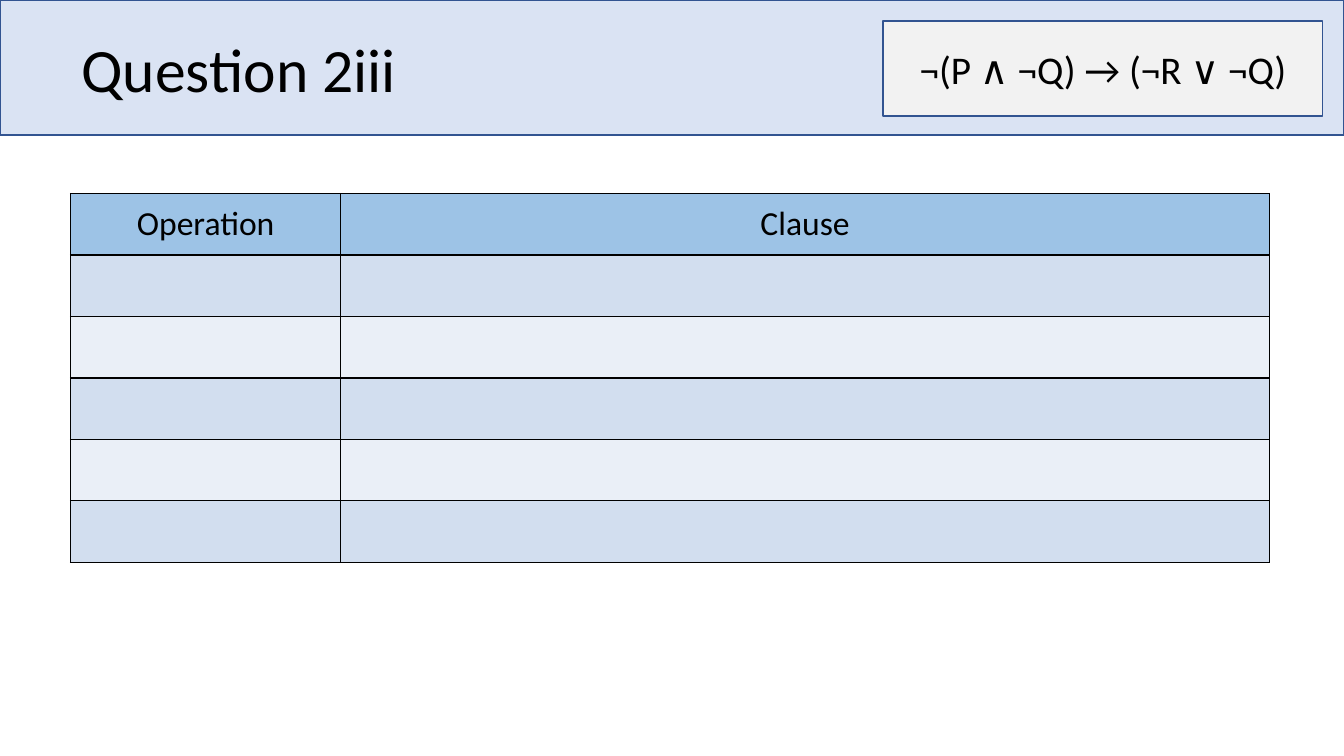
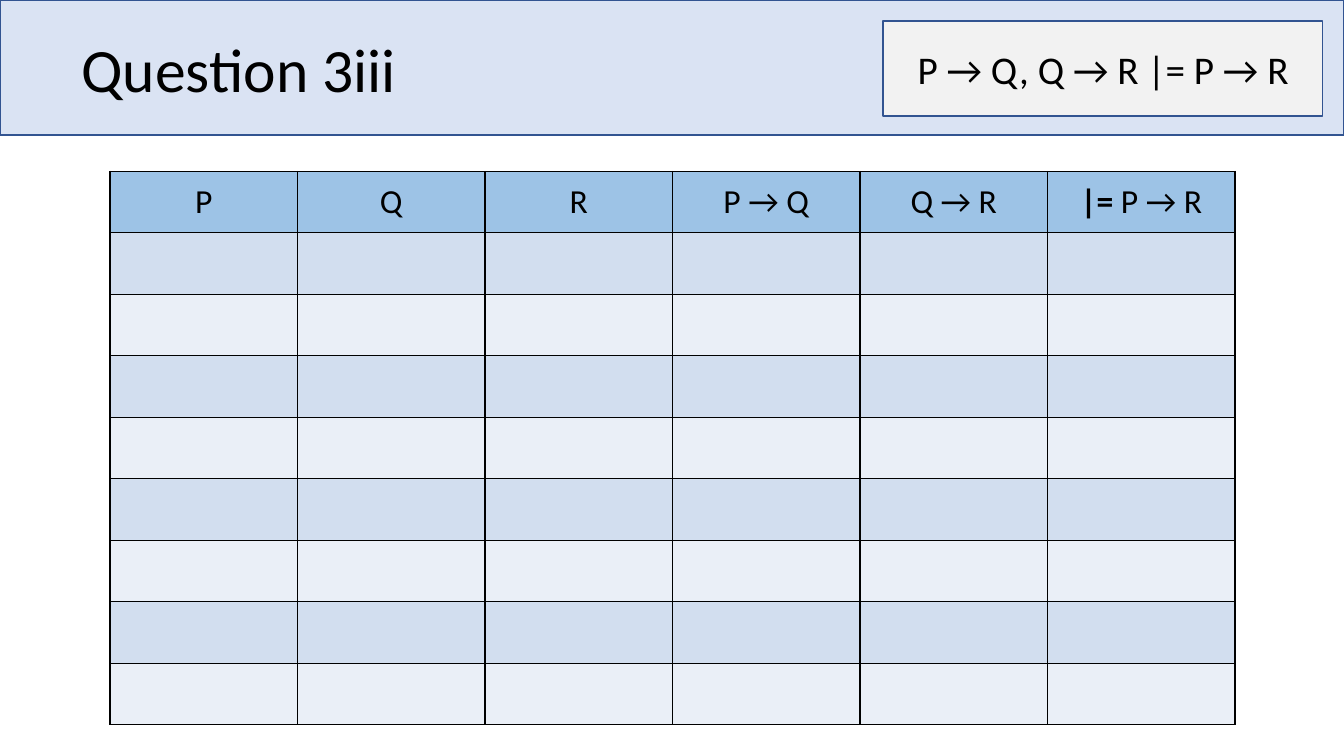
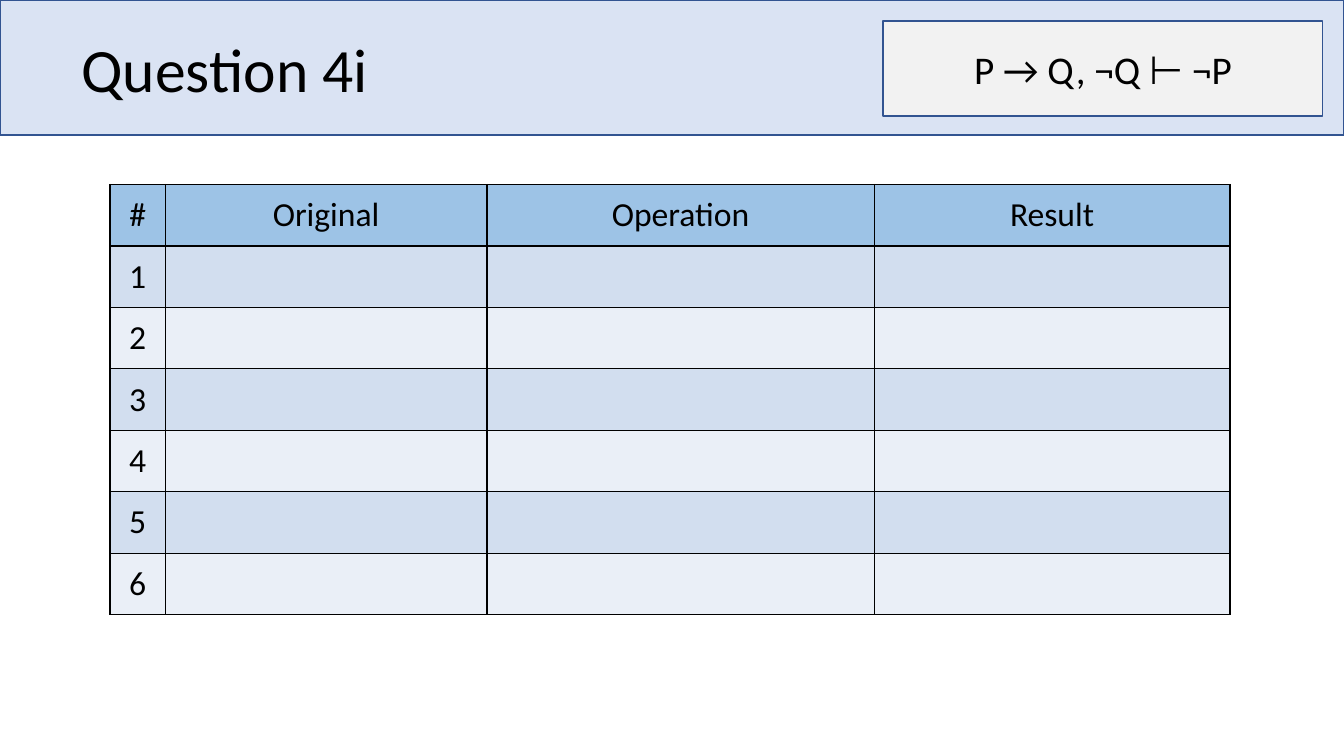
"""Build three logic worksheet slides with a title band, a formula and an answer table."""
from lxml.etree import SubElement
from pptx import Presentation
from pptx.dml.color import RGBColor
from pptx.enum.shapes import MSO_SHAPE
from pptx.enum.text import MSO_ANCHOR, PP_ALIGN
from pptx.oxml.ns import qn
from pptx.util import Inches, Pt

FONT = "Calibri"
BLACK = RGBColor(0x00, 0x00, 0x00)
BAND = RGBColor(0xDA, 0xE3, 0xF3)
OUTLINE = RGBColor(0x32, 0x54, 0x91)
FORMULA = RGBColor(0xF2, 0xF2, 0xF2)
HEADER = RGBColor(0x9D, 0xC3, 0xE6)
ROWS = (RGBColor(0xD2, 0xDE, 0xEF), RGBColor(0xEA, 0xEF, 0xF7))
SLIDE_W = 13.33
ROW_H = 0.61


def add_run(p, text, size, bold=False):
    """Add one run in the deck font."""
    r = p.add_run()
    r.text = text
    r.font.name = FONT
    r.font.size = Pt(size)
    r.font.bold = bold
    r.font.color.rgb = BLACK


def add_box(slide, left, top, width, height, fill):
    """Add an outlined rectangle."""
    sp = slide.shapes.add_shape(MSO_SHAPE.RECTANGLE, Inches(left), Inches(top),
                                Inches(width), Inches(height))
    sp.shadow.inherit = False
    sp.fill.solid()
    sp.fill.fore_color.rgb = fill
    sp.line.color.rgb = OUTLINE
    sp.line.width = Pt(1)
    return sp


def add_title(slide, text):
    """Add the title over the band."""
    sp = slide.shapes.add_textbox(Inches(0.71), Inches(-0.01), Inches(11.5), Inches(1.45))
    tf = sp.text_frame
    tf.word_wrap = True
    tf.vertical_anchor = MSO_ANCHOR.MIDDLE
    p = tf.paragraphs[0]
    p.line_spacing = 0.9
    add_run(p, text, 44)


def add_formula(slide, text):
    """Add the formula box at the right of the band."""
    tf = add_box(slide, 8.76, 0.21, 4.36, 0.94, FORMULA).text_frame
    tf.word_wrap = True
    tf.vertical_anchor = MSO_ANCHOR.MIDDLE
    p = tf.paragraphs[0]
    p.alignment = PP_ALIGN.CENTER
    add_run(p, text, 28)


def set_borders(cell):
    """Draw thin black lines on all sides of a cell."""
    tc_pr = cell._tc.get_or_add_tcPr()
    for side in ("lnL", "lnR", "lnT", "lnB"):
        ln = SubElement(tc_pr, qn(f"a:{side}"), w=str(Pt(1)))
        fill = SubElement(ln, qn("a:solidFill"))
        SubElement(fill, qn("a:srgbClr"), val=str(BLACK))


def style_cell(cell, fill, runs):
    """Border, fill and write a cell; runs are (text, bold) pairs."""
    set_borders(cell)
    cell.fill.solid()
    cell.fill.fore_color.rgb = fill
    cell.vertical_anchor = MSO_ANCHOR.MIDDLE
    p = cell.text_frame.paragraphs[0]
    p.alignment = PP_ALIGN.CENTER
    for text, bold in runs:
        add_run(p, text, 24, bold)


def add_answer_table(slide, left, top, widths, header, blank_rows, numbered=False):
    """Add a table with a header and banded rows left open for answers."""
    count = blank_rows + 1
    table = slide.shapes.add_table(count, len(widths), Inches(left), Inches(top),
                                   Inches(sum(widths)), Inches(ROW_H * count)).table
    for col, width in zip(table.columns, widths):
        col.width = Inches(width)
    for i, row in enumerate(table.rows):
        row.height = Inches(ROW_H)
        for j, cell in enumerate(row.cells):
            if i == 0:
                style_cell(cell, HEADER, header[j])
            else:
                runs = [(str(i), False)] if numbered and j == 0 else []
                style_cell(cell, ROWS[(i - 1) % 2], runs)


def plain(*labels):
    """Turn labels into cells of one regular run."""
    return [[(label, False)] for label in labels]


def add_question(prs, title, formula):
    """Add a slide with the band, title and formula."""
    s = prs.slides.add_slide(prs.slide_layouts[6])
    add_box(s, 0, 0, SLIDE_W, 1.34, BAND)
    add_title(s, title)
    add_formula(s, formula)
    return s


def main():
    """Build and save the deck."""
    prs = Presentation()
    prs.slide_width = Inches(SLIDE_W)
    prs.slide_height = Inches(7.5)

    s = add_question(prs, "Question 2iii", "¬(P ∧ ¬Q) → (¬R ∨ ¬Q)")
    add_answer_table(s, 0.7, 1.92, [2.68, 9.21], plain("Operation", "Clause"), 5)

    s = add_question(prs, "Question 3iii", "P → Q, Q → R |= P → R")
    header = plain("P", "Q", "R", "P → Q", "Q → R") + [[("|= ", True), ("P → R", False)]]
    add_answer_table(s, 1.09, 1.7, [1.86] * 6, header, 8)

    s = add_question(prs, "Question 4i", "P → Q, ¬Q ⊢ ¬P")
    add_answer_table(s, 1.09, 1.83, [0.55, 3.19, 3.84, 3.53],
                     plain("#", "Original", "Operation", "Result"), 6, numbered=True)

    prs.save("out.pptx")


if __name__ == "__main__":
    main()
